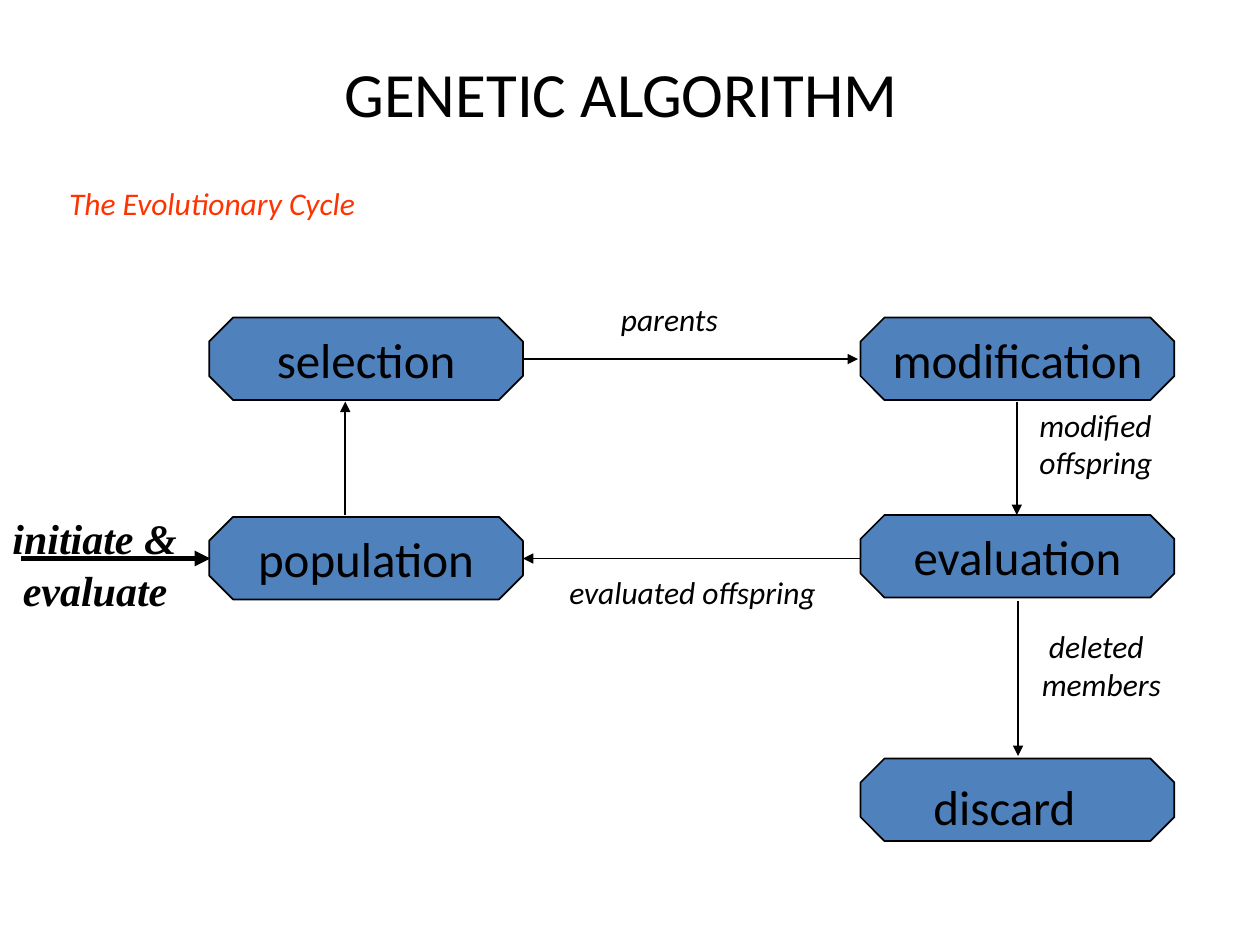
"""Build the genetic algorithm slide with its evolutionary cycle diagram."""
from lxml.etree import SubElement
from pptx import Presentation
from pptx.dml.color import RGBColor
from pptx.enum.shapes import MSO_CONNECTOR as Line, MSO_SHAPE as Shape
from pptx.enum.text import MSO_ANCHOR as Anchor, MSO_AUTO_SIZE as Fit, PP_ALIGN as Align
from pptx.oxml.ns import qn
from pptx.util import Inches, Pt

deck = Presentation()
deck.slide_width, deck.slide_height = Inches(10), Inches(7.5)
page = deck.slides.add_slide(deck.slide_layouts[5])
rgb = RGBColor.from_string
BLACK, BLUE, RED = "000000", "4F81BD", "FF3300"


def place(*percents):
    """Turn alternating x and y percentages of the slide into lengths."""
    sides = (deck.slide_width, deck.slide_height)
    return [int(sides[i % 2] * share / 100) for i, share in enumerate(percents)]


def write(box, text, size=18, font="Calibri", color=BLACK, bold=False, italic=False,
          align=Align.LEFT, anchor=Anchor.TOP, fit=Fit.SHAPE_TO_FIT_TEXT):
    """Fill a box with one paragraph per line of text."""
    frame = box.text_frame
    frame.word_wrap, frame.auto_size, frame.vertical_anchor = True, fit, anchor
    for number, line in enumerate(text.split("\n")):
        para = frame.add_paragraph() if number else frame.paragraphs[0]
        para.alignment = align
        span = para.add_run()
        span.text = line
        span.font.name, span.font.size = font, Pt(size)
        span.font.bold, span.font.italic = bold, italic
        span.font.color.rgb = rgb(color)


title = page.shapes.title
title.left, title.top, title.width, title.height = place(26.1, 5.07, 46.4, 9.47)
write(title, "GENETIC ALGORITHM", size=36, align=Align.CENTER)

LEFT, RIGHT = 16.6, 68.3
UPPER, LOWER, BOTTOM = 33.6, 54.7, 80.27
stages = [
    ("selection", LEFT, UPPER),
    ("population", LEFT, LOWER),
    ("evaluation", RIGHT, LOWER - 0.2),
    ("modification", RIGHT, UPPER),
    ("", RIGHT, BOTTOM),
]
for name, x, y in stages:
    stage = page.shapes.add_shape(Shape.OCTAGON, *place(x, y, 24.9, 8.73))
    stage.adjustments[0] = 0.29
    stage.shadow.inherit = False
    stage.fill.solid()
    stage.fill.fore_color.rgb = rgb(BLUE)
    stage.line.color.rgb = rgb(BLACK)
    stage.line.width = Pt(1)
    if name:
        write(stage, name, size=28, align=Align.CENTER, anchor=Anchor.MIDDLE, fit=Fit.NONE)

arrows = [
    (41.6, 38, 68.1, 38, 1),
    (27.4, 54.5, 27.4, 42.5, 1),
    (80.8, 63.6, 80.8, 80, 1),
    (68.3, 59.1, 41.5, 59.1, 1),
    (80.7, 42.5, 80.7, 54.5, 1),
    (1.7, 59.1, 16.7, 59.1, 3),
]
for *ends, weight in arrows:
    arrow = page.shapes.add_connector(Line.STRAIGHT, *place(*ends))
    arrow.line.color.rgb = rgb(BLACK)
    arrow.line.width = Pt(weight)
    SubElement(arrow.line._get_or_add_ln(), qn("a:tailEnd"), type="triangle")
    SubElement(arrow._element.spPr, qn("a:effectLst"))

note = dict(italic=True)
start = dict(size=24, font="Times New Roman", bold=True, italic=True)
labels = [
    ("The Evolutionary Cycle", 4.5, 18.8, 34.9, 6.8,
     dict(color=RED, italic=True, align=Align.JUSTIFY)),
    ("discard", 73.1, 81.47, 14.5, 7.47, dict(size=28)),
    (" deleted\nmembers", 81.7, 65.73, 14, 12, note),
    ("parents", 48.3, 31.07, 12, 6.67, note),
    ("modified\noffspring", 81.5, 42.27, 14, 12, note),
    ("evaluated offspring", 44.2, 60, 24.2, 5.33, note),
    ("initiate &", 0, 53.6, 15.8, 6.67, start),
    (" evaluate", 0, 59.07, 16.7, 6.67, start),
]
for text, x, y, width, height, style in labels:
    write(page.shapes.add_textbox(*place(x, y, width, height)), text, **style)

deck.save("out.pptx")
